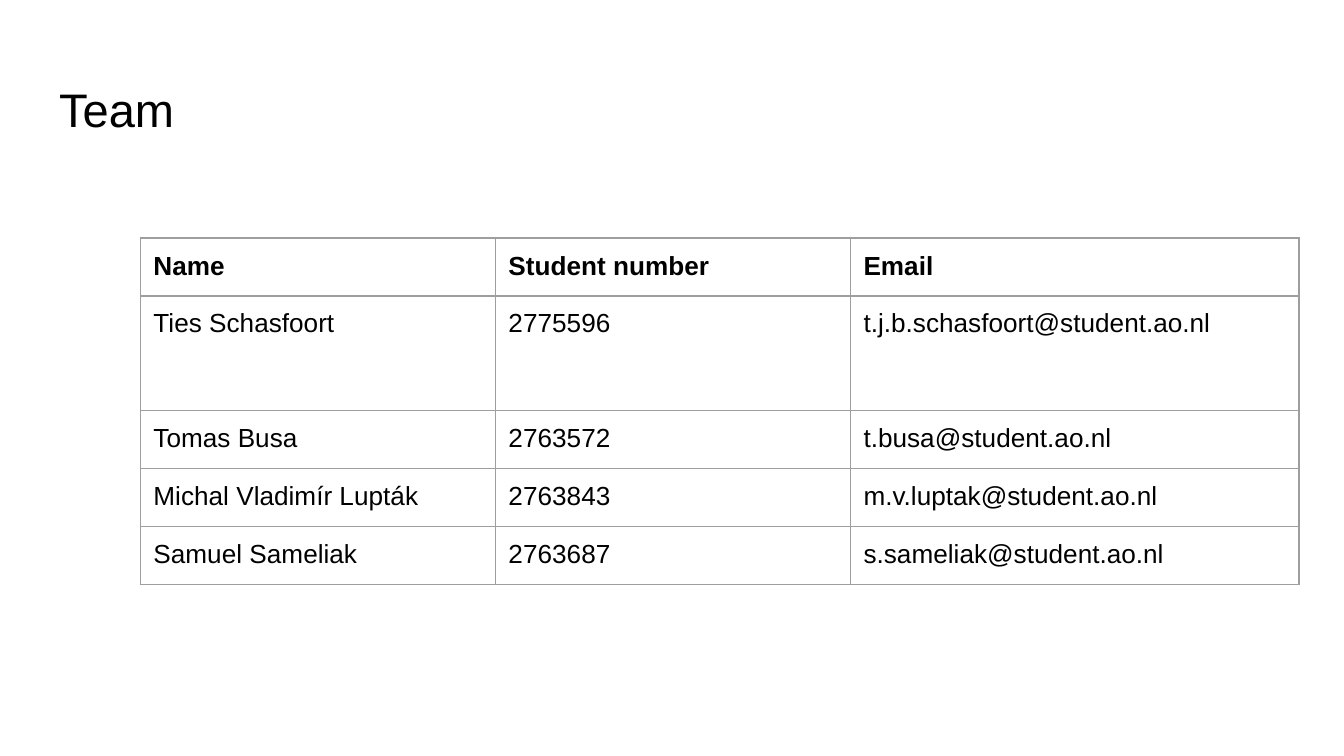
import pptx
import pptx.util
import pptx.dml.color
import pptx.enum.text
import pptx.oxml
import pptx.oxml.ns
from lxml import etree

Cm = pptx.util.Cm
BLACK = pptx.dml.color.RGBColor(0x00, 0x00, 0x00)
GREY = pptx.dml.color.RGBColor(0x9E, 0x9E, 0x9E)
qn = pptx.oxml.ns.qn


def write(frame, text, size=14, bold=False, color=BLACK):
    run = frame.paragraphs[0].add_run()
    run.text = text
    run.font.name = "Arial"
    run.font.size = pptx.util.Pt(size)
    run.font.bold = bold
    run.font.color.rgb = color


def pad(item):
    item.margin_left = item.margin_right = Cm(0.25)
    item.margin_top = item.margin_bottom = Cm(0.25)


deck = pptx.Presentation()
deck.slide_width = Cm(25.4)
deck.slide_height = Cm(14.29)
slide = deck.slides.add_slide(deck.slide_layouts[6])

title = slide.shapes.add_textbox(Cm(0.87), Cm(1.24), Cm(23.67), Cm(1.6)).text_frame
title.word_wrap = True
title.vertical_anchor = pptx.enum.text.MSO_ANCHOR.BOTTOM
pad(title)
write(title, "Team", size=25.2)

team = [
    ("Name", "Student number", "Email"),
    ("Ties Schasfoort", "2775596", "t.j.b.schasfoort@student.ao.nl"),
    ("Tomas Busa", "2763572", "t.busa@student.ao.nl"),
    ("Michal Vladimír Lupták", "2763843", "m.v.luptak@student.ao.nl"),
    ("Samuel Sameliak", "2763687", "s.sameliak@student.ao.nl"),
]
widths = [6.71, 6.71, 8.48]
heights = [1.06, 2.17, 1.06, 1.06, 1.06]

table = slide.shapes.add_table(
    len(team), len(widths), Cm(2.65), Cm(4.5), Cm(sum(widths)), Cm(sum(heights))
).table
table.horz_banding = False
table.first_row = False
for col, width in zip(table.columns, widths):
    col.width = Cm(width)

for i, (row, height) in enumerate(zip(team, heights)):
    table.rows[i].height = Cm(height)
    for j, text in enumerate(row):
        cell = table.cell(i, j)
        pad(cell)
        write(cell.text_frame, text, bold=i == 0)
        props = cell._tc.get_or_add_tcPr()
        for side in ("a:lnL", "a:lnR", "a:lnT", "a:lnB"):
            line = etree.SubElement(props, qn(side), w=str(pptx.util.Pt(0.75)))
            fill = etree.SubElement(line, qn("a:solidFill"))
            etree.SubElement(fill, qn("a:srgbClr"), val=str(GREY))
        cell.fill.background()

deck.save("out.pptx")
